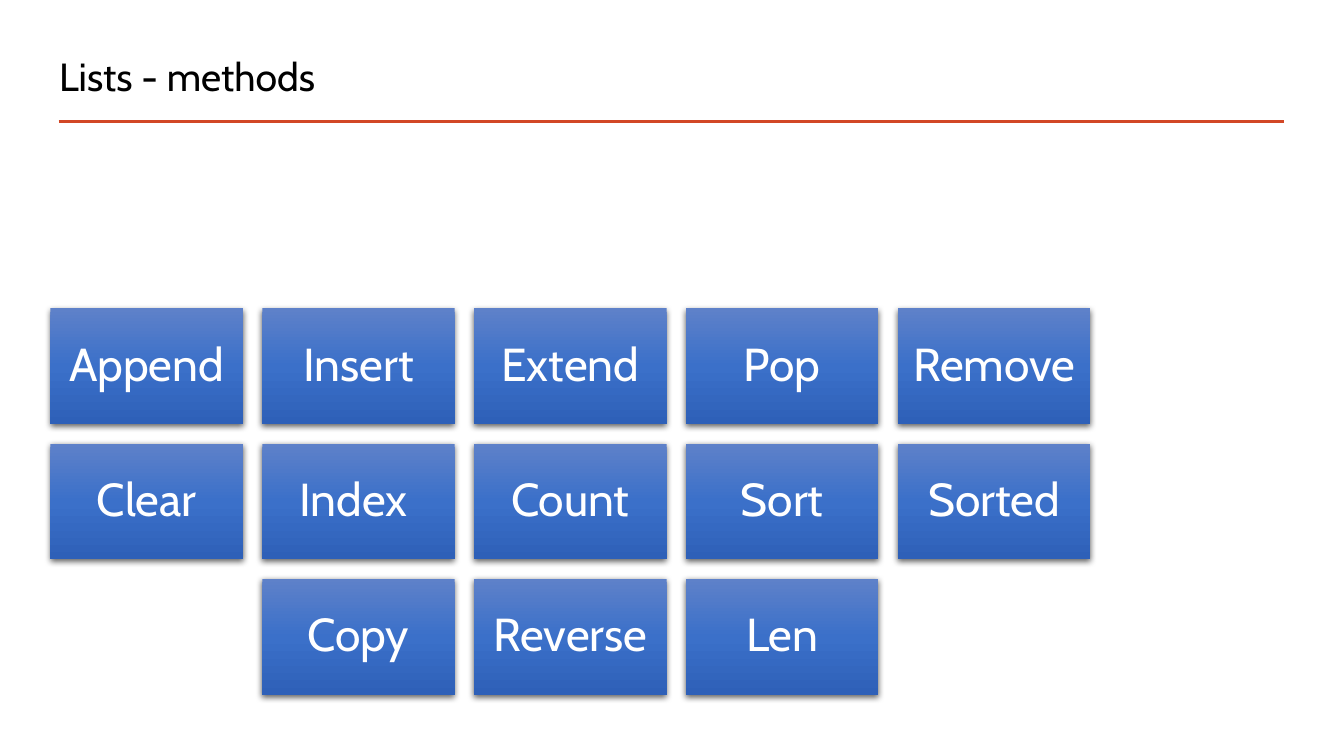
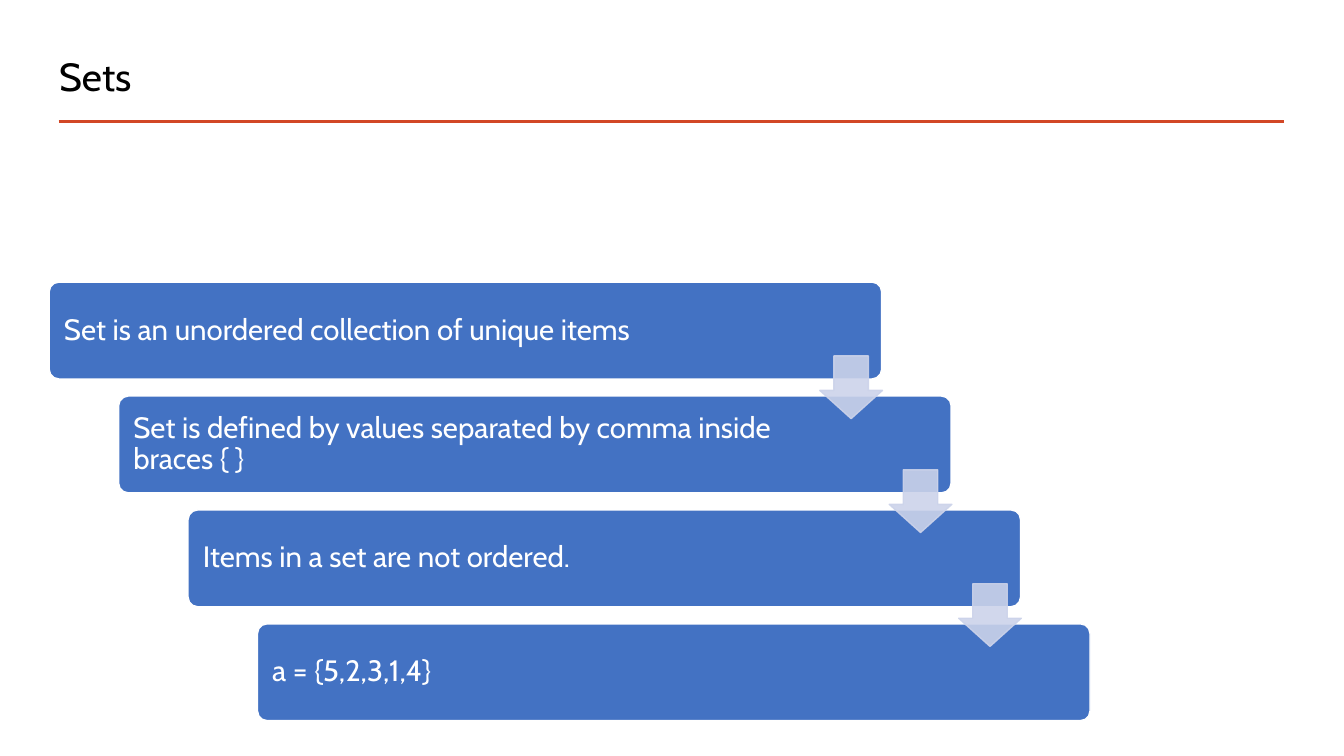
from copy import deepcopy
from dataclasses import dataclass

from lxml import etree
from pptx import Presentation
from pptx import util as u
from pptx.dml.color import RGBColor
from pptx.enum import shapes, text
from pptx.oxml.ns import qn

Cm, Pt = u.Cm, u.Pt


@dataclass(frozen=True)
class Theme:
    font: str = "Cabin"
    ink: str = "000000"
    paper: str = "FFFFFF"
    rule: str = "D24726"
    step: str = "4372C3"
    arrow: str = "CCD3EA"
    arrow_opacity: int = 89
    tile_stops: tuple = ((0, "5E81C9"), (0.5, "3B70C9"), (1, "2E60B8"))
    shadow_opacity: int = 62
    title_size: int = 28
    tile_size: int = 33
    step_size: int = 21


def rgb(value):
    return RGBColor.from_string(value)


def set_opacity(color, percent):
    etree.SubElement(color, qn("a:alpha"), val=str(percent * 1000))


class SlideBuilder:
    def __init__(self, deck, theme):
        self.deck, self.theme = deck, theme
        self.page = None

    def start_page(self, title):
        """Add a slide with its title and the rule below it."""
        self.page = self.deck.slides.add_slide(self.deck.slide_layouts[5])
        box = self.page.shapes.title
        box.left, box.top, box.width, box.height = Cm(1.24), Cm(1.19), Cm(19.43), Cm(1.78)
        self.set_words(box, title, self.theme.title_size, self.theme.ink,
                       anchor=text.MSO_ANCHOR.TOP, insets=(0.25, 0.13, 0.25, 0.13))
        line = self.page.shapes.add_connector(
            shapes.MSO_CONNECTOR.STRAIGHT, Cm(1.48), Cm(3.07), Cm(32.36), Cm(3.07))
        line.line.color.rgb = rgb(self.theme.rule)
        line.line.width = Pt(2)
        etree.SubElement(line._element.spPr, qn("a:effectLst"))

    def set_words(self, box, words, size, color, insets, align=text.PP_ALIGN.LEFT,
                  anchor=text.MSO_ANCHOR.MIDDLE, spacing=1.0):
        """Fill a shape with one paragraph; insets are left, top, right, bottom in cm."""
        frame = box.text_frame
        frame.text = words
        frame.word_wrap = True
        frame.auto_size = text.MSO_AUTO_SIZE.NONE
        frame.vertical_anchor = anchor
        (frame.margin_left, frame.margin_top,
         frame.margin_right, frame.margin_bottom) = map(Cm, insets)
        para = frame.paragraphs[0]
        para.alignment = align
        para.line_spacing = spacing
        for span in para.runs:
            span.font.name = self.theme.font
            span.font.size = Pt(size)
            span.font.color.rgb = rgb(color)

    def shape(self, kind, left, top, width, height):
        box = self.page.shapes.add_shape(kind, Cm(left), Cm(top), Cm(width), Cm(height))
        box.shadow.inherit = False
        return box

    def tile(self, words, left, top, width, height):
        box = self.shape(shapes.MSO_SHAPE.RECTANGLE, left, top, width, height)
        box.line.fill.background()
        self.shade(box)
        self.drop_shadow(box)
        self.set_words(box, words, self.theme.tile_size, self.theme.paper,
                       insets=(0.35,) * 4, align=text.PP_ALIGN.CENTER, spacing=0.9)

    def shade(self, box):
        """Give a shape the three-stop vertical gradient."""
        box.fill.gradient()
        box.fill.gradient_angle = 270
        stop_list = box._element.spPr.find(".//" + qn("a:gsLst"))
        stop_list.append(deepcopy(stop_list[-1]))
        for stop, (position, color) in zip(box.fill.gradient_stops, self.theme.tile_stops):
            stop.position = position
            stop.color.rgb = rgb(color)

    def drop_shadow(self, box):
        effects = box._element.spPr.find(qn("a:effectLst"))
        shadow = etree.SubElement(
            effects, qn("a:outerShdw"), blurRad=str(Pt(4.5)), dist=str(Pt(1.5)),
            dir="5400000", algn="ctr", rotWithShape="0")
        color = etree.SubElement(shadow, qn("a:srgbClr"), val=self.theme.ink)
        set_opacity(color, self.theme.shadow_opacity)

    def step(self, words, left, top, width, height):
        box = self.shape(shapes.MSO_SHAPE.ROUNDED_RECTANGLE, left, top, width, height)
        box.adjustments[0] = 0.1
        box.fill.solid()
        box.fill.fore_color.rgb = rgb(self.theme.step)
        box.line.color.rgb = rgb(self.theme.paper)
        box.line.width = Pt(1)
        self.set_words(box, words, self.theme.step_size, self.theme.paper,
                       insets=(0.3, 0.3, 3.63, 0.3), spacing=0.9)

    def down_arrow(self, left, top, size):
        arrow = self.shape(shapes.MSO_SHAPE.DOWN_ARROW, left, top, size, size)
        arrow.adjustments[0], arrow.adjustments[1] = 0.55, 0.45
        arrow.fill.solid()
        arrow.fill.fore_color.rgb = rgb(self.theme.arrow)
        arrow.line.color.rgb = rgb(self.theme.arrow)
        arrow.line.width = Pt(1)
        for color in arrow._element.spPr.iter(qn("a:srgbClr")):
            set_opacity(color, self.theme.arrow_opacity)


def build_list_methods(builder):
    builder.start_page("Lists - methods")
    rows = (
        ("Append", "Insert", "Extend", "Pop", "Remove"),
        ("Clear", "Index ", "Count", "Sort", "Sorted"),
        ("Copy", "Reverse", "Len"),
    )
    columns = len(rows[0])
    for row, names in enumerate(rows):
        first = (columns - len(names)) / 2
        for column, name in enumerate(names):
            builder.tile(name, 1.27 + (first + column) * 5.34, 7.77 + row * 3.41, 4.85, 2.92)


def build_sets(builder):
    builder.start_page("Sets")
    steps = (
        "Set is an unordered collection of unique items",
        "Set is defined by values separated by comma inside braces { }",
        "Items in a set are not ordered.",
        "a = {5,2,3,1,4}",
    )
    shift, drop = 1.75, 2.87
    for index, words in enumerate(steps):
        builder.step(words, 1.24 + index * shift, 7.11 + index * drop, 20.98, 2.44)
    for index in range(len(steps) - 1):
        builder.down_arrow(20.66 + index * shift, 8.97 + index * drop, 1.58)


def main():
    deck = Presentation()
    deck.slide_width, deck.slide_height = Cm(33.87), Cm(19.05)
    builder = SlideBuilder(deck, Theme())
    build_list_methods(builder)
    build_sets(builder)
    deck.save("out.pptx")


if __name__ == "__main__":
    main()
